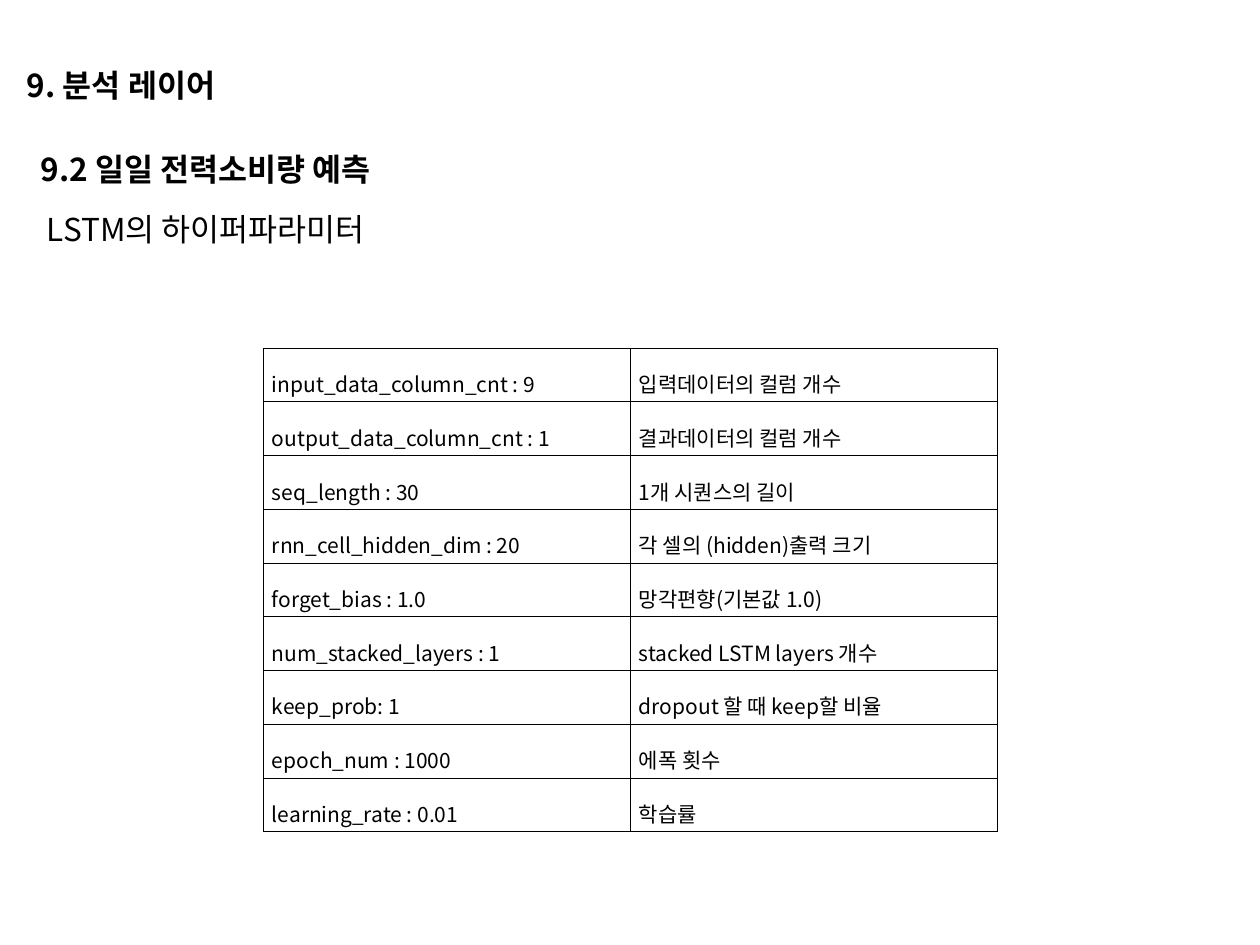
from lxml.etree import SubElement
from pptx import Presentation
from pptx.dml.color import RGBColor
from pptx.enum.text import MSO_ANCHOR as Anchor, MSO_AUTO_SIZE as AutoSize
from pptx.oxml.ns import qn
from pptx.util import Emu, Pt

THEME = {
    "font": "Noto Sans CJK KR",
    "ink": "000000",
    "heading": 18,
    "cell": 12,
    "border": 0.28,
}


def px(count):
    return Emu(round(count * 914400 / 126))


def write(frame, text, size, bold=False, spacing=None):
    para = frame.paragraphs[0]
    para.line_spacing = spacing
    span = para.add_run()
    span.text = text
    span.font.size = Pt(size)
    span.font.bold = bold
    span.font.name = THEME["font"]
    span.font.color.rgb = RGBColor.from_string(THEME["ink"])
    SubElement(span.font._element, qn("a:ea"), typeface=THEME["font"])


deck = Presentation()
deck.slide_width, deck.slide_height = px(1260), px(945)
page = deck.slides.add_slide(deck.slide_layouts[6])

# Hyperparameter table
parameters = [
    ("input_data_column_cnt : 9", "입력데이터의 컬럼 개수"),
    ("output_data_column_cnt : 1", "결과데이터의 컬럼 개수"),
    ("seq_length : 30", "1개 시퀀스의 길이"),
    ("rnn_cell_hidden_dim : 20", "각 셀의 (hidden)출력 크기"),
    ("forget_bias : 1.0", "망각편향(기본값 1.0)"),
    ("num_stacked_layers : 1", "stacked LSTM layers 개수"),
    ("keep_prob: 1", "dropout 할 때 keep할 비율"),
    ("epoch_num : 1000", "에폭 횟수"),
    ("learning_rate : 0.01", "학습률"),
]
table = page.shapes.add_table(
    len(parameters), 2, px(263), px(348), px(734), px(407)
).table
table.first_row = False
table.horz_banding = False

for row, texts in enumerate(parameters):
    for column, text in enumerate(texts):
        cell = table.cell(row, column)
        cell.vertical_anchor = Anchor.MIDDLE
        cell.margin_left = cell.margin_right = px(9)
        cell.margin_top, cell.margin_bottom = px(2), px(3)
        write(cell.text_frame, text, THEME["cell"], spacing=1.6)
        properties = cell._tc.get_or_add_tcPr()
        for side in ("lnL", "lnR", "lnT", "lnB"):
            border = SubElement(
                properties, qn(f"a:{side}"), w=str(Pt(THEME["border"]))
            )
            fill = SubElement(border, qn("a:solidFill"))
            SubElement(fill, qn("a:srgbClr"), val=THEME["ink"])
        cell.fill.background()

# Headings: text, left, top, width, left inset, bold, wrap
headings = [
    ("9. 분석 레이어", 14, 60, 234, 13, True, False),
    ("9.2 일일 전력소비량 예측", 28, 144, 391, 13, True, False),
    ("LSTM의 하이퍼파라미터", 28, 204, 1101, 19, False, True),
]
for text, left, top, width, inset, bold, wrap in headings:
    box = page.shapes.add_textbox(px(left), px(top), px(width), px(50))
    frame = box.text_frame
    frame.word_wrap = wrap
    frame.auto_size = AutoSize.SHAPE_TO_FIT_TEXT
    frame.margin_left = px(inset)
    write(frame, text, THEME["heading"], bold=bold)

deck.save("out.pptx")
